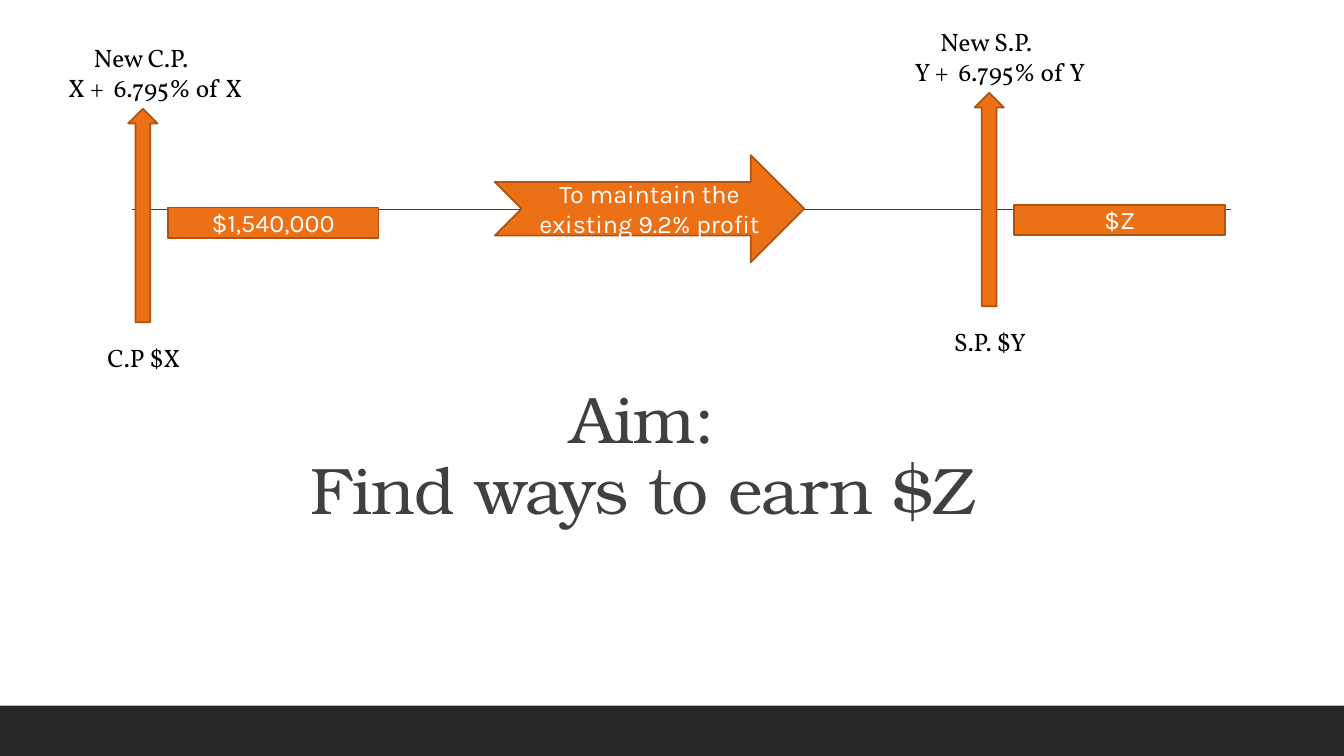
"""Build the slide on keeping the profit margin as cost and selling price rise."""
import pptx
import pptx.dml.color
import pptx.enum.shapes
import pptx.enum.text
import pptx.oxml
import pptx.oxml.ns
import pptx.util

Cm = pptx.util.Cm
Pt = pptx.util.Pt
Shape = pptx.enum.shapes.MSO_SHAPE
Align = pptx.enum.text.PP_ALIGN
Anchor = pptx.enum.text.MSO_ANCHOR

COLOURS = {"accent": "EC7016", "edge": "AF5310", "footer": "262626",
           "heading": "404040", "body": "000000", "light": "FFFFFF"}
FONTS = {
    "title": {"name": "TeX Gyre Bonum", "size": Pt(47), "bold": False},
    "label": {"name": "Vollkorn", "size": Pt(18)},
    "shape": {"name": "Karla", "size": Pt(18)},
}


def colour(name):
    return pptx.dml.color.RGBColor.from_string(COLOURS[name])


def apply(target, formats):
    for name, value in formats.items():
        setattr(target, name, value)


class Page:
    """Hold the style and the current slide, and draw each kind of element."""

    def __init__(self, deck):
        self.slide = deck.slides.add_slide(deck.slide_layouts[5])

    def style(self, para, font, ink, **formats):
        apply(para, formats)
        for span in para.runs:
            apply(span.font, FONTS[font])
            span.font.color.rgb = colour(ink)

    def title(self, text, left, top, width, height):
        box = self.slide.shapes.title
        apply(box, {"left": Cm(left), "top": Cm(top),
                    "width": Cm(width), "height": Cm(height)})
        frame = box.text_frame
        frame.text = text
        apply(frame, {"word_wrap": True, "vertical_anchor": Anchor.BOTTOM,
                      "margin_right": Cm(0.74),
                      "auto_size": pptx.enum.text.MSO_AUTO_SIZE.NONE})
        para = frame.paragraphs[0]
        self.style(para, "title", "heading", alignment=Align.CENTER,
                   line_spacing=0.9, space_before=Pt(0))
        for span in para.runs:
            span._r.get_or_add_rPr().set("spc", "-50")

    def label(self, lines, left, top, width, height, indent=0):
        box = self.slide.shapes.add_textbox(Cm(left), Cm(top), Cm(width), Cm(height))
        frame = box.text_frame
        frame.word_wrap = True
        frame.text = "\n".join(lines)
        for para in frame.paragraphs:
            self.style(para, "label", "body")
        frame.paragraphs[0]._p.get_or_add_pPr().set("marL", str(Cm(indent)))

    def shape(self, kind, left, top, width, height, text="", fill="accent", edge="edge"):
        box = self.slide.shapes.add_shape(kind, Cm(left), Cm(top), Cm(width), Cm(height))
        box.shadow.inherit = False
        box.fill.solid()
        box.fill.fore_color.rgb = colour(fill)
        if edge:
            box.line.color.rgb = colour(edge)
            box.line.width = Pt(1.25)
        else:
            box.line.fill.background()
        if text:
            frame = box.text_frame
            frame.text = text
            apply(frame, {"word_wrap": True, "vertical_anchor": Anchor.MIDDLE})
            self.style(frame.paragraphs[0], "shape", "light", alignment=Align.CENTER)

    def line(self, left, right, top):
        rule = self.slide.shapes.add_connector(
            pptx.enum.shapes.MSO_CONNECTOR.STRAIGHT, Cm(left), Cm(top), Cm(right), Cm(top))
        rule.line.color.rgb = colour("heading")
        rule.line.width = Pt(1)
        effects = pptx.oxml.ns.qn("a:effectLst")
        rule._element.spPr.append(rule._element.makeelement(effects, {}))

    def price(self, heading, rise, caption, amount, left, top, bar_top):
        self.label([caption], left - 0.77, top + 5.76, 3.23, 1.02)
        self.shape(Shape.UP_ARROW, left, top, 0.74, 5.38)
        self.shape(Shape.RECTANGLE, left + 1, bar_top, 5.31, 0.76, amount)
        self.label([heading, rise], left - 1.76, top - 1.8, 5.18, 1.8, indent=0.64)


def main():
    deck = pptx.Presentation()
    deck.slide_width, deck.slide_height = Cm(33.87), Cm(19.05)
    page = Page(deck)
    page.shape(Shape.RECTANGLE, 0, 17.78, 33.87, 1.27, fill="footer", edge=None)
    page.line(3.33, 31.01, 5.28)
    page.title("Aim:\vFind ways to earn $Z", 6.55, 9.42, 19.79, 4.04)
    page.price("New C.P.", "X +  6.795% of X", "C.P $X", "$1,540,000", 3.23, 2.74, 5.23)
    page.price("New S.P.", "Y +  6.795% of Y", "S.P. $Y", "$Z", 24.56, 2.34, 5.16)
    page.shape(Shape.NOTCHED_RIGHT_ARROW, 12.47, 3.91, 7.8, 2.7,
               "To maintain the existing 9.2% profit")
    deck.save("out.pptx")


if __name__ == "__main__":
    main()
